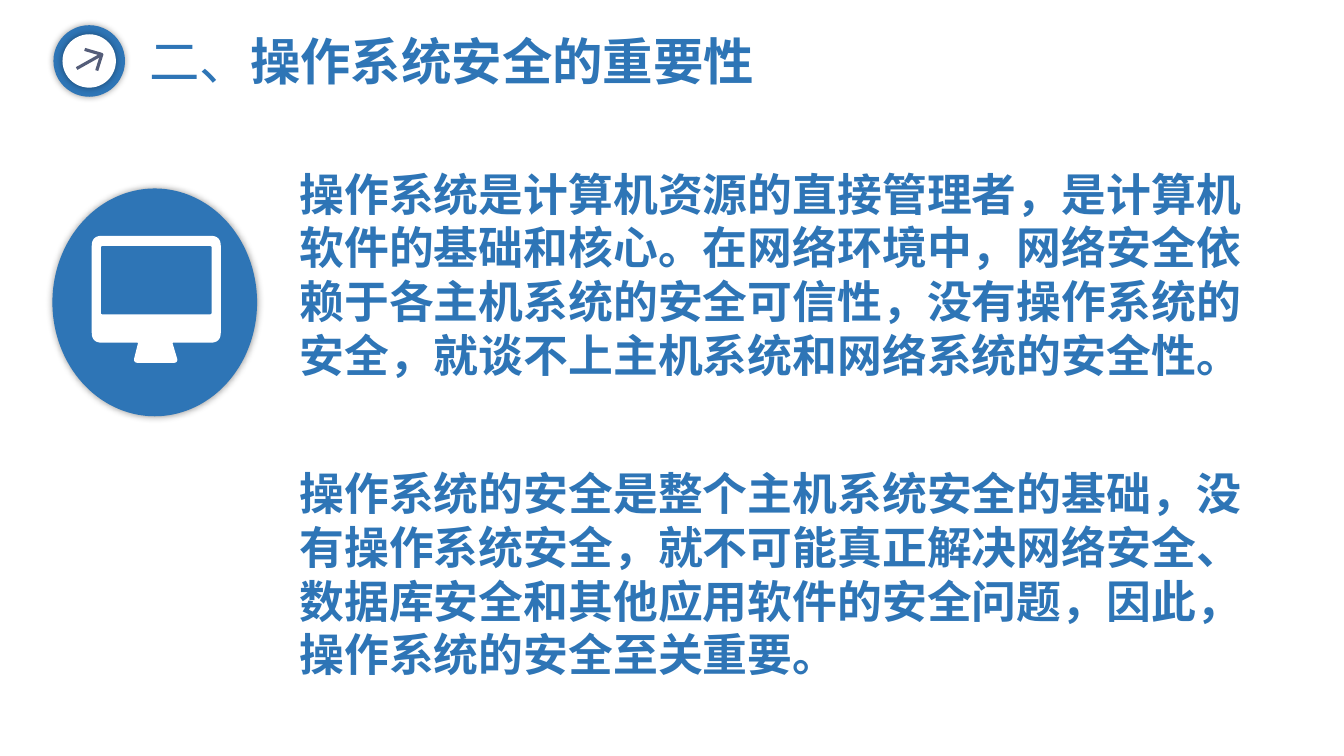
from math import dist
from lxml import etree
from pptx import Presentation
from pptx.dml.color import RGBColor
from pptx.enum.shapes import MSO_CONNECTOR as Link, MSO_SHAPE as Form
from pptx.enum.text import MSO_ANCHOR as Anchor, MSO_AUTO_SIZE as Fit, PP_ALIGN as Align
from pptx.oxml.ns import qn
from pptx.util import Inches, Pt

FONT = "Noto Sans CJK SC"
HUES = {"blue": "2E75B6", "white": "FFFFFF", "slate": "545D79", "black": "000000"}
REASONS = [
    "操作系统是计算机资源的直接管理者，是计算机软件的基础和核心。在网络环境中，网络安全依赖于各主机系统的安全可信性，没有操作系统的安全，就谈不上主机系统和网络系统的安全性。",
    "操作系统的安全是整个主机系统安全的基础，没有操作系统安全，就不可能真正解决网络安全、数据库安全和其他应用软件的安全问题，因此，操作系统的安全至关重要。",
]


def hue(name):
    """Return the named colour."""
    return RGBColor.from_string(HUES[name])


def write(para, text, size=32, bold=True, color="blue"):
    """Add a formatted run to a paragraph."""
    run = para.add_run()
    run.text = text
    font = run.font
    font.name, font.size, font.bold = FONT, Pt(size), bold
    font.color.rgb = hue(color)
    etree.SubElement(run._r.get_or_add_rPr(), qn("a:ea"), typeface=FONT)


def place(holder, box):
    """Move a placeholder and return its plain first paragraph."""
    holder.left, holder.top, holder.width, holder.height = map(Inches, box)
    frame = holder.text_frame
    frame.word_wrap, frame.auto_size = True, Fit.NONE
    frame.vertical_anchor = Anchor.TOP
    para = frame.paragraphs[0]
    para.alignment, para.space_before = Align.LEFT, Pt(0)
    props = para._p.get_or_add_pPr()
    props.set("marL", "0")
    props.set("indent", "0")
    etree.SubElement(props, qn("a:buNone"))
    return para


def disc(shapes, box, color):
    """Draw an ellipse with a soft shadow."""
    oval = shapes.add_shape(Form.OVAL, *map(Inches, box))
    oval.fill.solid()
    oval.fill.fore_color.rgb = hue(color)
    oval.line.fill.background()
    oval.shadow.inherit = False
    glow = etree.SubElement(
        oval._element.spPr.find(qn("a:effectLst")), qn("a:outerShdw"),
        blurRad=str(Pt(5)), dist="0", dir="0", algn="ctr", rotWithShape="0")
    tint = etree.SubElement(glow, qn("a:srgbClr"), val=HUES["black"])
    etree.SubElement(tint, qn("a:alpha"), val="40000")


def toward(start, end, length):
    """Return the point a given length from start toward end."""
    part = length / dist(start, end)
    return tuple(a + (b - a) * part for a, b in zip(start, end))


def soften(corners, steps=8):
    """Round the corners of a polygon of (x, y, radius)."""
    points = []
    for i, (x, y, r) in enumerate(corners):
        mid = (x, y)
        first = toward(mid, corners[i - 1][:2], r)
        last = toward(mid, corners[(i + 1) % len(corners)][:2], r)
        for k in range(steps + 1):
            t = k / steps
            points.append(tuple((1 - t) ** 2 * a + 2 * t * (1 - t) * b + t * t * c
                                for a, b, c in zip(first, mid, last)))
    return points


def trace(shapes, origin, loops, closed=True):
    """Build one freeform from point loops relative to an origin."""
    loops = [[tuple(Inches(o + v) for o, v in zip(origin, point)) for point in loop]
             for loop in loops]
    pen = shapes.build_freeform(*loops[0][0], scale=1.0)
    for i, loop in enumerate(loops):
        if i:
            pen.move_to(*loop[0])
        pen.add_line_segments(loop[1:], close=closed)
    shape = pen.convert_to_shape()
    shape.shadow.inherit = False
    return shape


def badge(slide, box):
    """Draw the ringed arrow beside the title."""
    x, y, w, h = box
    shapes = slide.shapes.add_group_shape().shapes
    rim = 0.09
    disc(shapes, box, "blue")
    disc(shapes, (x + rim, y + rim, w - 2 * rim, h - 2 * rim), "white")
    tip = (0.48, 0.29)
    head = trace(shapes, (x, y), [[(0.31, 0.24), tip, (0.43, 0.45)]], closed=False)
    head.fill.background()
    ends = [Inches(v) for v in (x + 0.23, y + 0.43, x + tip[0], y + tip[1])]
    shaft = shapes.add_connector(Link.STRAIGHT, *ends)
    etree.SubElement(shaft._element.spPr, qn("a:effectLst"))
    for part in (head, shaft):
        part.line.color.rgb = hue("slate")
        part.line.width = Pt(2.25)


def screen(slide, box):
    """Draw the monitor on its disc."""
    x, y, w, h = box
    disc(slide.shapes, box, "blue")
    case = [(0, 0, 0.1), (1.28, 0, 0.1), (1.28, 1.06, 0.1), (0.8, 1.06, 0.01),
            (0.86, 1.26, 0.05), (0.41, 1.26, 0.05), (0.46, 1.06, 0.01), (0, 1.06, 0.1)]
    glass = [(0.09, 0.1, 0.02), (0.09, 0.78, 0.02), (1.19, 0.78, 0.02), (1.19, 0.1, 0.02)]
    icon = trace(slide.shapes, (x + 0.39, y + 0.47), [soften(case), soften(glass)])
    icon.fill.solid()
    icon.fill.fore_color.rgb = hue("white")
    icon.line.fill.background()


def heading(slide, box):
    """Fill the title with its number and subject."""
    para = place(slide.shapes.title, box)
    write(para, "二、", size=36, bold=False)
    write(para, "操作系统安全的重要性", size=36)


def reasons(slide, box, pitch):
    """Fill the body placeholders, one pitch apart."""
    x, y, w, h = box
    for i, text in enumerate(REASONS):
        write(place(slide.placeholders[i + 1], (x, y + i * pitch, w, h)), text)


def build():
    """Build the slide and save it."""
    deck = Presentation()
    deck.slide_width, deck.slide_height = Inches(13.33), Inches(7.5)
    slide = deck.slides.add_slide(deck.slide_layouts.get_by_name("Two Content"))
    heading(slide, (1.38, 0.25, 6.46, 1.31))
    reasons(slide, (2.87, 1.6, 9.55, 2.79), 2.97)
    badge(slide, (0.53, 0.25, 0.71, 0.71))
    screen(slide, (0.52, 1.87, 2.03, 2.26))
    deck.save("out.pptx")


build()
